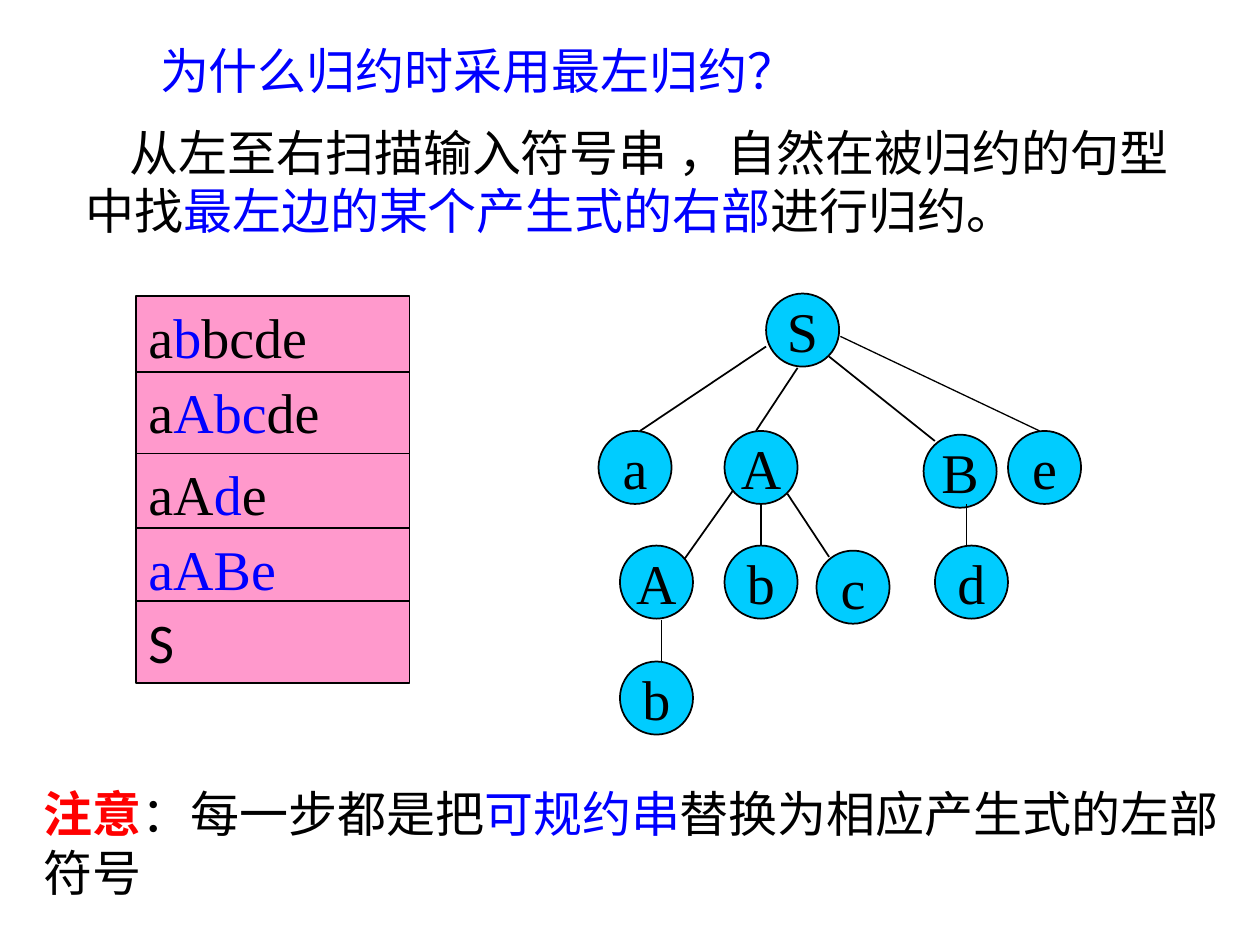
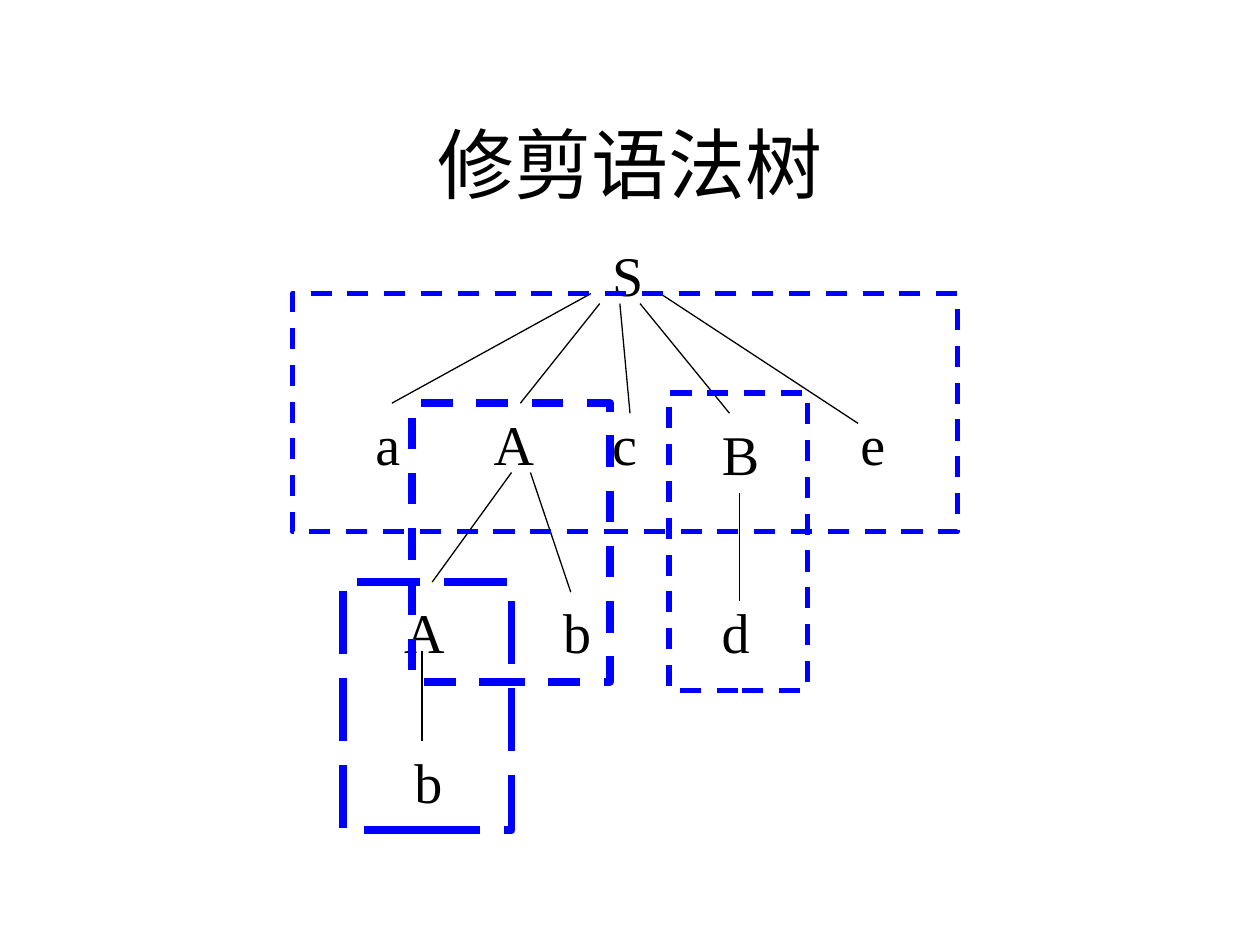
from pptx import Presentation
from pptx.dml.color import RGBColor
from pptx.enum.dml import MSO_LINE
from pptx.enum.shapes import MSO_CONNECTOR, MSO_SHAPE
from pptx.enum.text import MSO_ANCHOR, MSO_AUTO_SIZE, PP_ALIGN
from pptx.oxml.ns import qn
from pptx.util import Inches, Pt
from lxml import etree

FONT = "Times New Roman"
BLACK, BLUE, RED, PINK, CYAN = "000000", "0000FF", "FF0000", "FF99CC", "00CCFF"


def rgb(value):
    return RGBColor.from_string(value)


def write(tf, parts, size, font=FONT, align=PP_ALIGN.LEFT):
    p = tf.paragraphs[0]
    p.alignment = align
    for text, color, *bold in parts:
        r = p.add_run()
        r.text = text
        r.font.name, r.font.size = font, Pt(size)
        r.font.bold = bool(bold)
        r.font.color.rgb = rgb(color)
    return p


def add_title(slide, box, text, size, color, align, anchor, margin=0.1):
    sp = slide.shapes.title
    sp.left, sp.top, sp.width, sp.height = map(Inches, box)
    tf = sp.text_frame
    tf.auto_size = MSO_AUTO_SIZE.NONE
    tf.vertical_anchor = anchor
    tf.margin_left = Inches(margin)
    write(tf, [(text, color)], size, align=align)


def add_text(slide, box, parts, size, indent=0):
    sp = slide.shapes.add_textbox(*map(Inches, box))
    sp.text_frame.word_wrap = True
    p = write(sp.text_frame, parts, size)
    if indent:
        p._p.get_or_add_pPr().set("indent", str(Inches(indent)))


def add_shape(slide, kind, box, fill, color, width):
    sp = slide.shapes.add_shape(kind, *map(Inches, box))
    sp.shadow.inherit = False
    if fill:
        sp.fill.solid()
        sp.fill.fore_color.rgb = rgb(fill)
    else:
        sp.fill.background()
    sp.line.color.rgb = rgb(color)
    sp.line.width = Pt(width)
    return sp


def add_edges(slide, left, top, edges, width):
    for x1, y1, x2, y2 in edges:
        line = slide.shapes.add_connector(
            MSO_CONNECTOR.STRAIGHT, Inches(left + x1), Inches(top + y1),
            Inches(left + x2), Inches(top + y2))
        line.line.color.rgb = rgb(BLACK)
        line.line.width = Pt(width)
        etree.SubElement(line._element.spPr, qn("a:effectLst"))


def add_reduction_stack(slide, left, top, width, height):
    rows = [
        (0, FONT, [("a", BLACK), ("b", BLUE), ("bcde", BLACK)]),
        (0.6, FONT, [("a", BLACK), ("Abc", BLUE), ("de", BLACK)]),
        (1.25, FONT, [("aA", BLACK), ("d", BLUE), ("e", BLACK)]),
        (1.84, FONT, [("aABe", BLUE)]),
        (2.42, "Calibri", [("S", BLACK)]),
    ]
    for dy, font, parts in rows:
        sp = add_shape(slide, MSO_SHAPE.RECTANGLE, (left, top + dy, width, height),
                       PINK, BLACK, 1)
        sp.text_frame.vertical_anchor = MSO_ANCHOR.TOP
        write(sp.text_frame, parts, 32, font)


def add_circle_tree(slide, left, top, size):
    nodes = [
        ("S", 1.33, 0),
        ("a", 0, 1.09), ("A", 1, 1.09), ("B", 2.58, 1.12), ("e", 3.25, 1.09),
        ("A", 0.17, 2), ("b", 1, 2), ("c", 1.73, 2.04), ("d", 2.67, 2),
        ("b", 0.17, 2.92),
    ]
    for text, dx, dy in nodes:
        sp = add_shape(slide, MSO_SHAPE.OVAL, (left + dx, top + dy, size, size),
                       CYAN, BLACK, 1)
        tf = sp.text_frame
        tf.word_wrap = False
        tf.vertical_anchor = MSO_ANCHOR.MIDDLE
        write(tf, [(text, BLACK)], 32, align=PP_ALIGN.CENTER)
    add_edges(slide, left, top, [
        (1.33, 0.42, 0.33, 1.09), (1.58, 0.59, 1.25, 1.09),
        (1.83, 0.5, 2.67, 1.17), (1.07, 1.56, 0.68, 2.11),
        (1.5, 1.59, 1.83, 2.09), (0.5, 2.59, 0.5, 2.92)], 1)
    add_edges(slide, left, top, [
        (1.92, 0.34, 3.5, 1.09), (1.29, 1.67, 1.29, 2),
        (2.92, 1.67, 2.92, 2)], 0.75)


def add_pruned_tree(slide, left, top):
    nodes = [
        ("S", 2.44, 0, 2.68),
        ("a", 0.56, 1.34, 1.02), ("A", 1.5, 1.34, 0.94), ("c", 2.44, 1.34, 0.79),
        ("B", 3.31, 1.42, 1.18), ("e", 4.41, 1.34, 0.87),
        ("A", 0.79, 2.83, 0.71), ("b", 2.05, 2.83, 0.39), ("d", 3.31, 2.83, 0.94),
        ("b", 0.87, 4.02, 0.79),
    ]
    for text, dx, dy, width in nodes:
        add_text(slide, (left + dx, top + dy, width, 0.63), [(text, BLACK)], 32)
    add_edges(slide, left, top, [
        (2.37, 0.47, 0.79, 1.34), (2.44, 0.55, 1.81, 1.34),
        (2.6, 0.55, 2.68, 1.42), (2.76, 0.55, 3.47, 1.42),
        (2.92, 0.47, 4.49, 1.5), (1.74, 1.89, 1.11, 2.76),
        (1.89, 1.89, 2.21, 2.84), (1.03, 3.31, 1.03, 4.02),
        (3.55, 2.05, 3.55, 2.91)], 0.75)
    handles = [
        (0.4, 2.76, 1.34, 1.97, 4.5, MSO_LINE.LONG_DASH),
        (0.95, 1.34, 1.57, 2.21, 4.5, MSO_LINE.DASH),
        (2.99, 1.26, 1.1, 2.36, 3, MSO_LINE.DASH),
        (0, 0.47, 5.28, 1.89, 3, MSO_LINE.DASH),
    ]
    for dx, dy, width, height, weight, dash in handles:
        sp = add_shape(slide, MSO_SHAPE.RECTANGLE,
                       (left + dx, top + dy, width, height), None, BLUE, weight)
        sp.line.dash_style = dash


def build_reduction_slide(slide):
    add_title(slide, (0.5, 0.27, 7.5, 0.57), "为什么归约时采用最左归约？", 28, BLUE,
              PP_ALIGN.LEFT, MSO_ANCHOR.TOP, margin=0.77)
    add_text(slide, (0.58, 0.92, 8.92, 1.03), [
        ("从左至右扫描输入符号串 ，自然在被归约的句型中找", BLACK),
        ("最左边的某个产生式的右部", BLUE),
        ("进行归约。", BLACK)], 28, indent=0.35)
    add_reduction_stack(slide, 1.08, 2.35, 2.17, 0.65)
    add_circle_tree(slide, 4.75, 2.33, 0.58)
    add_text(slide, (0.25, 6.17, 9.67, 1.03), [
        ("注意", RED, True),
        ("：每一步都是把", BLACK),
        ("可规约串", BLUE),
        ("替换为相应产生式的左部符号", BLACK)], 28)


def build_pruning_slide(slide):
    add_title(slide, (0.75, 0.67, 8.5, 1.25), "修剪语法树", 44, BLACK,
              PP_ALIGN.CENTER, MSO_ANCHOR.MIDDLE)
    add_pruned_tree(slide, 2.32, 1.86)


prs = Presentation()
prs.slide_width, prs.slide_height = Inches(10), Inches(7.5)
title_only = prs.slide_layouts[5]
for build in (build_reduction_slide, build_pruning_slide):
    build(prs.slides.add_slide(title_only))
prs.save("out.pptx")
